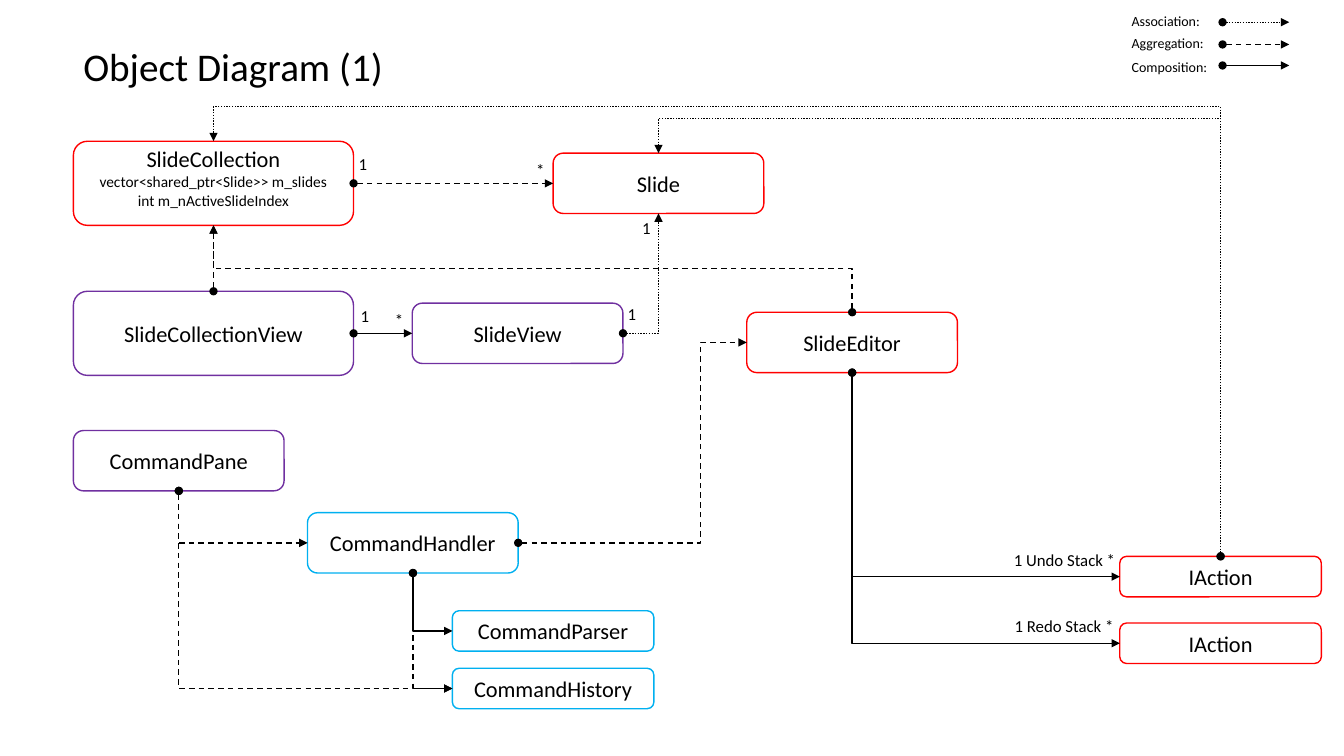
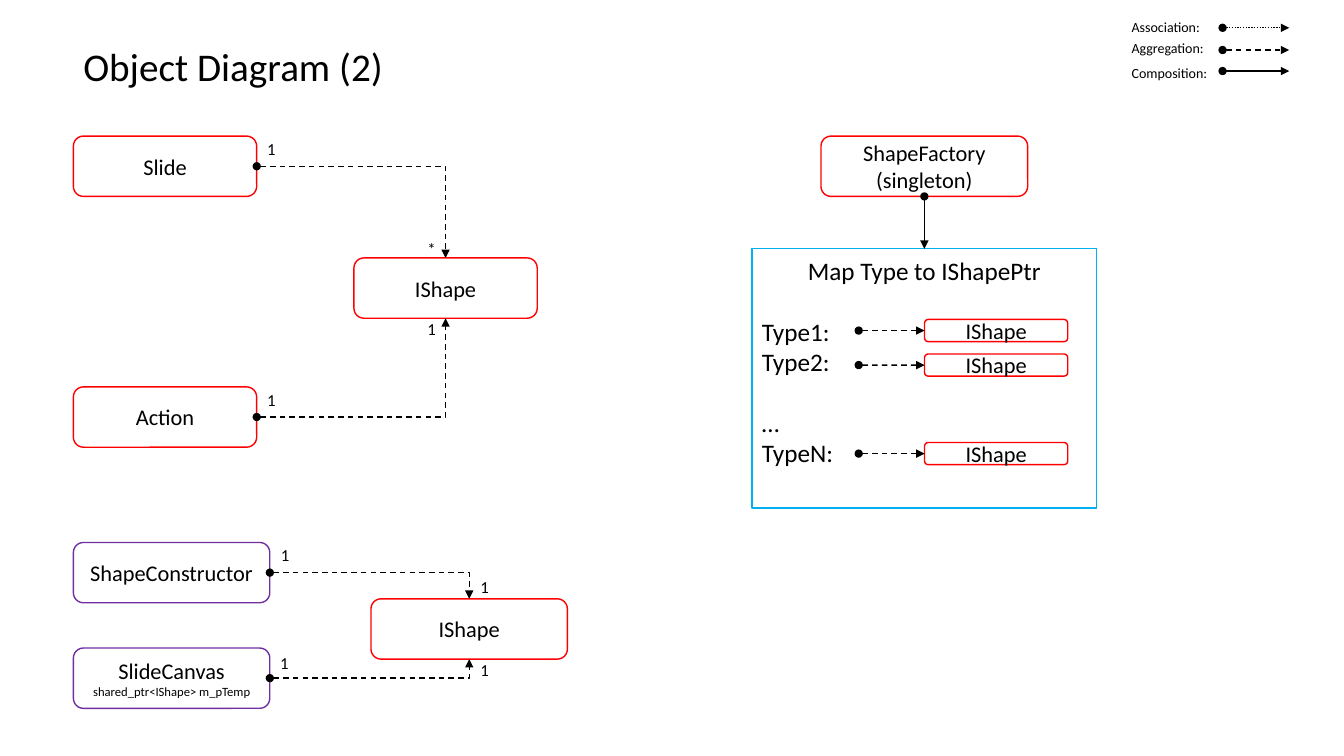
from lxml.etree import SubElement
from pptx import Presentation
from pptx.dml.color import RGBColor
from pptx.enum.dml import MSO_LINE
from pptx.enum.shapes import MSO_CONNECTOR, MSO_SHAPE
from pptx.enum.text import MSO_ANCHOR, MSO_AUTO_SIZE, PP_ALIGN
from pptx.oxml.ns import qn
from pptx.util import Cm, Pt

COLOURS = {"ink": "000000", "model": "FF0000", "view": "7030A0", "command": "00B0F0"}
FONT = "Calibri"
MARGIN = 1.85
LINE_WIDTH = Pt(1)

# Relations and connection sites
ASSOCIATION, AGGREGATION, COMPOSITION = MSO_LINE.ROUND_DOT, MSO_LINE.DASH, None
TOP, LEFT, BOTTOM, RIGHT = range(4)

# Legend rows: label, relation, label top, line height
LEGEND = [
    ("Association:", ASSOCIATION, 0.2, 0.56),
    ("Aggregation:", AGGREGATION, 0.74, 1.12),
    ("Composition:", COMPOSITION, 1.35, 1.65),
]


def draw_box(page, text, place, size, colour=None, small=None, preset=MSO_SHAPE.ROUNDED_RECTANGLE):
    """Outlined box with centred text, or a plain text box if no colour is given."""
    lengths = [Cm(value) for value in place]
    if colour:
        box = page.shapes.add_shape(preset, *lengths)
        box.shadow.inherit = False
        box.fill.background()
        box.line.color.rgb = RGBColor.from_string(COLOURS[colour])
        box.line.width = LINE_WIDTH
        box.text_frame.vertical_anchor = MSO_ANCHOR.MIDDLE
        box.text_frame.word_wrap = True
    else:
        box = page.shapes.add_textbox(*lengths)
        box.text_frame.word_wrap = False
        box.text_frame.auto_size = MSO_AUTO_SIZE.SHAPE_TO_FIT_TEXT
    for number, line in enumerate(text.split("\n")):
        para = box.text_frame.add_paragraph() if number else box.text_frame.paragraphs[0]
        para.text = line
        para.alignment = PP_ALIGN.CENTER if colour else PP_ALIGN.LEFT
        para.font.name = FONT
        para.font.size = Pt(small if small and number else size)
        para.font.color.rgb = RGBColor.from_string(COLOURS["ink"])
    return box


def connect(page, start, end, relation, bend=0.5):
    """Arrow between two ends, each a (box, site) pair or an (x, y) point."""
    points = []
    for anchor, site in (start, end):
        if isinstance(anchor, int):
            points.append((anchor, site))
        else:
            across = {LEFT: 0, RIGHT: anchor.width}.get(site, anchor.width // 2)
            down = {TOP: 0, BOTTOM: anchor.height}.get(site, anchor.height // 2)
            points.append((anchor.left + across, anchor.top + down))
    (x1, y1), (x2, y2) = points
    width, height = abs(x2 - x1), abs(y2 - y1)
    straight = min(width, height) < Cm(0.1)
    kind = MSO_CONNECTOR.STRAIGHT if straight else MSO_CONNECTOR.ELBOW
    arrow = page.shapes.add_connector(kind, x1, y1, x2, y2)
    if not isinstance(start[0], int):
        arrow.begin_connect(*start)
    if not isinstance(end[0], int):
        arrow.end_connect(*end)
    properties = arrow._element.spPr

    if not straight:
        upright = [site in (TOP, BOTTOM) for _, site in (start, end)]
        geometry = properties.find(qn("a:prstGeom"))
        if upright[0] != upright[1]:
            geometry.set("prst", "bentConnector2")
        else:
            guide = SubElement(geometry.find(qn("a:avLst")), qn("a:gd"))
            guide.set("name", "adj1")
            guide.set("fmla", f"val {round(bend * 100000)}")
        if upright[0]:
            # A route that leaves vertically is a horizontal one turned by 270 degrees
            arrow.left, arrow.top = (x1 + x2 - height) // 2, (y1 + y2 - width) // 2
            arrow.width, arrow.height = height, width
            turn = properties.find(qn("a:xfrm"))
            turn.set("rot", "16200000")
            turn.set("flipH", str(int(y2 > y1)))
            turn.set("flipV", str(int(x2 < x1)))

    arrow.line.color.rgb = RGBColor.from_string(COLOURS["ink"])
    arrow.line.width = LINE_WIDTH
    if relation:
        arrow.line.dash_style = relation
    outline = properties.find(qn("a:ln"))
    SubElement(outline, qn("a:headEnd")).set("type", "oval")
    SubElement(outline, qn("a:tailEnd")).set("type", "triangle")
    SubElement(properties, qn("a:effectLst"))


deck = Presentation()
deck.slide_width, deck.slide_height = Cm(33.87), Cm(19.05)

# Both slides: title and legend
pages = []
for title, legend_shift in (("Object Diagram (1)", 0), ("Object Diagram (2)", 0.14)):
    page = deck.slides.add_slide(deck.slide_layouts[6])
    draw_box(page, title, (MARGIN, 0.94, 8.15, 1.45), 28)
    for label, relation, label_top, line_height in LEGEND:
        draw_box(page, label, (28.27, label_top + legend_shift, 2.49, 0.69), 10)
        level = Cm(line_height + legend_shift)
        connect(page, (Cm(30.81), level), (Cm(32.49), level), relation)
    pages.append(page)
first, second = pages

# Slide 1: boxes
LARGE, MEDIUM, SMALL = (7.06, 2.12), (5.31, 1.52), (5.08, 1.02)
boxes = {}
for name, text, colour, left, top, extent in [
    ("collection", "SlideCollection\nvector<shared_ptr<Slide>> m_slides\nint m_nActiveSlideIndex",
     "model", MARGIN, 3.56, LARGE),
    ("slide", "Slide", "model", 13.94, 3.86, MEDIUM),
    ("undo", "IAction", "model", 28.22, 14.02, SMALL),
    ("redo", "IAction", "model", 28.22, 15.7, SMALL),
    ("collection view", "SlideCollectionView", "view", MARGIN, 7.34, LARGE),
    ("editor", "SlideEditor", "model", 18.82, 7.87, MEDIUM),
    ("slide view", "SlideView", "view", 10.39, 7.64, MEDIUM),
    ("pane", "CommandPane", "view", MARGIN, 10.85, MEDIUM),
    ("handler", "CommandHandler", "command", 7.75, 12.92, MEDIUM),
    ("parser", "CommandParser", "command", 11.4, 15.39, SMALL),
    ("history", "CommandHistory", "command", 11.4, 16.84, SMALL),
]:
    boxes[name] = draw_box(first, text, (left, top, *extent), 16, colour, small=11)
boxes["collection"].text_frame.vertical_anchor = MSO_ANCHOR.TOP
boxes["collection"].text_frame.margin_top = 0

# Slide 1: relations
for source, source_site, target, target_site, relation, bend in [
    ("pane", BOTTOM, "handler", LEFT, AGGREGATION, 0.5),
    ("handler", BOTTOM, "parser", LEFT, COMPOSITION, 0.5),
    ("pane", BOTTOM, "history", LEFT, AGGREGATION, 0.5),
    ("handler", BOTTOM, "history", LEFT, AGGREGATION, 0.5),
    ("editor", TOP, "collection", BOTTOM, AGGREGATION, 0.5),
    ("editor", BOTTOM, "undo", LEFT, COMPOSITION, 0.5),
    ("editor", BOTTOM, "redo", LEFT, COMPOSITION, 0.5),
    ("undo", TOP, "collection", TOP, ASSOCIATION, 1.083),
    ("undo", TOP, "slide", TOP, ASSOCIATION, 1.086),
    ("collection", RIGHT, "slide", LEFT, AGGREGATION, 0.5),
    ("collection view", RIGHT, "slide view", LEFT, COMPOSITION, 0.5),
    ("slide view", RIGHT, "slide", BOTTOM, ASSOCIATION, 0.5),
    ("handler", RIGHT, "editor", LEFT, AGGREGATION, 0.798),
    ("collection view", TOP, "collection", BOTTOM, AGGREGATION, 0.5),
]:
    connect(first, (boxes[source], source_site), (boxes[target], target_site), relation, bend)

# Slide 2: boxes
NARROW, WIDE = (4.62, 1.52), (4.95, 1.52)
boxes = {}
for name, text, colour, left, top, extent in [
    ("slide", "Slide", "model", MARGIN, 3.43, NARROW),
    ("shape", "IShape", "model", 8.92, 6.5, NARROW),
    ("action", "Action", "model", MARGIN, 9.75, NARROW),
    ("factory", "ShapeFactory (singleton)", "model", 20.69, 3.43, (5.21, 1.52)),
    ("constructor", "ShapeConstructor", "view", MARGIN, 13.67, WIDE),
    ("drawn shape", "IShape", "model", 9.35, 15.09, WIDE),
    ("canvas", "SlideCanvas\nshared_ptr<IShape> m_pTemp", "view", MARGIN, 16.33, WIDE),
]:
    boxes[name] = draw_box(second, text, (left, top, *extent), 16, colour, small=9)

# Slide 2: type map, with a line of space before the groups of entries
type_map = draw_box(second, "Map Type to IShapePtr\nType1:\nType2:\n…\nTypeN:",
                    (18.95, 6.27, 8.69, 6.53), 18, "command", preset=MSO_SHAPE.RECTANGLE)
type_map.text_frame.vertical_anchor = MSO_ANCHOR.TOP
type_map.text_frame.margin_top = Cm(0.16)
entries = type_map.text_frame.paragraphs[1:]
for para in entries:
    para.alignment = PP_ALIGN.LEFT
for para in (entries[0], entries[2]):
    para.space_before = Pt(22)
for top in (8.05, 8.92, 11.15):
    mapped = draw_box(second, "IShape", (23.3, top, 3.61, 0.56), 16, "model")
    connect(second, (Cm(21.64), Cm(top + 0.28)), (mapped, LEFT), AGGREGATION)

# Slide 2: relations
connect(second, (boxes["factory"], BOTTOM), (type_map, TOP), COMPOSITION)
for source, target, target_site in [
    ("slide", "shape", TOP),
    ("action", "shape", BOTTOM),
    ("constructor", "drawn shape", TOP),
    ("canvas", "drawn shape", BOTTOM),
]:
    connect(second, (boxes[source], RIGHT), (boxes[target], target_site), AGGREGATION)

# Multiplicities on both slides
for page, text, left, top, width in [
    (first, "1", 8.79, 3.76, 0.74),
    (first, "*", 13.26, 3.91, 0.74),
    (first, "1", 8.84, 7.57, 0.74),
    (first, "*", 9.7, 7.67, 0.74),
    (first, "1", 15.57, 7.52, 0.74),
    (first, "1", 15.93, 5.36, 0.74),
    (first, "1 Undo Stack *", 25.3, 13.72, 3.1),
    (first, "1 Redo Stack *", 25.32, 15.39, 3.05),
    (second, "*", 10.52, 5.89, 0.74),
    (second, "1", 6.48, 3.38, 0.74),
    (second, "1", 6.48, 9.7, 0.74),
    (second, "1", 10.52, 7.9, 0.74),
    (second, "1", 6.83, 13.61, 0.74),
    (second, "1", 11.86, 16.51, 0.74),
    (second, "1", 6.81, 16.33, 0.74),
    (second, "1", 11.86, 14.4, 0.74),
]:
    draw_box(page, text, (left, top, width, 0.77), 12)

deck.save("out.pptx")
